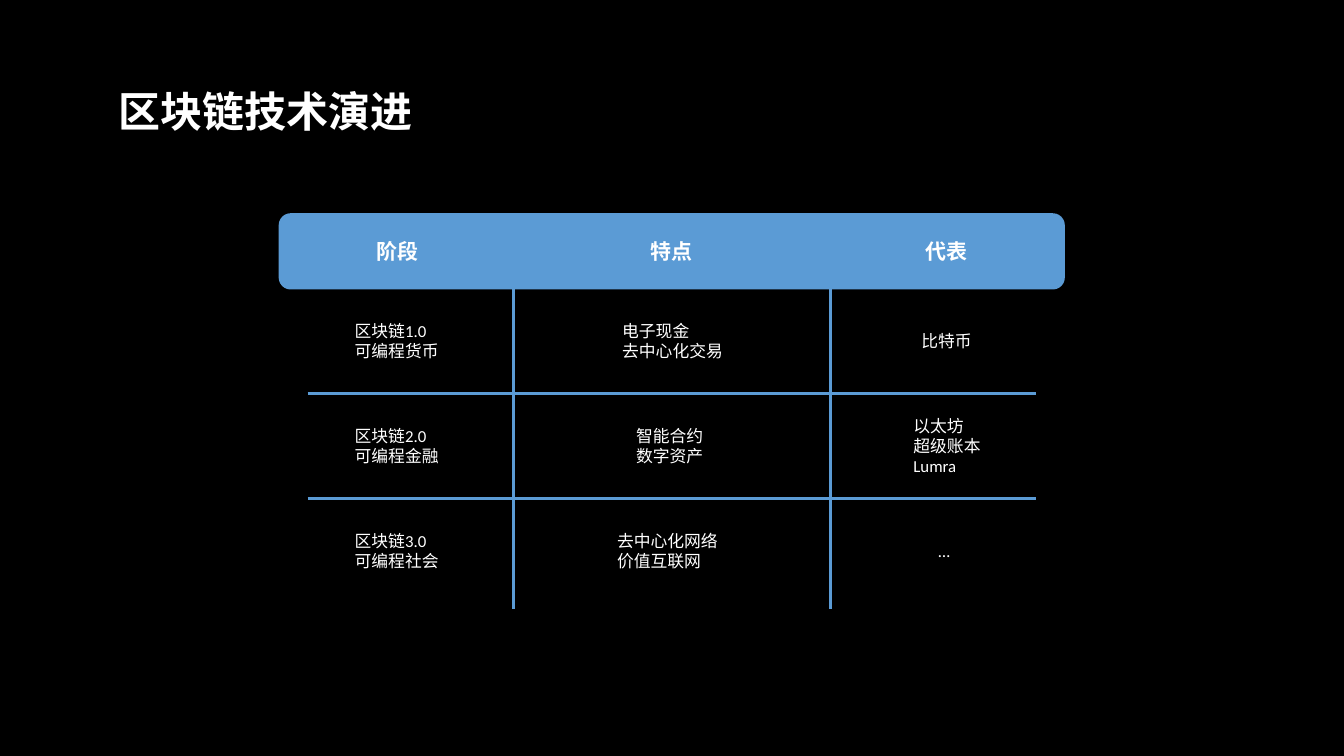
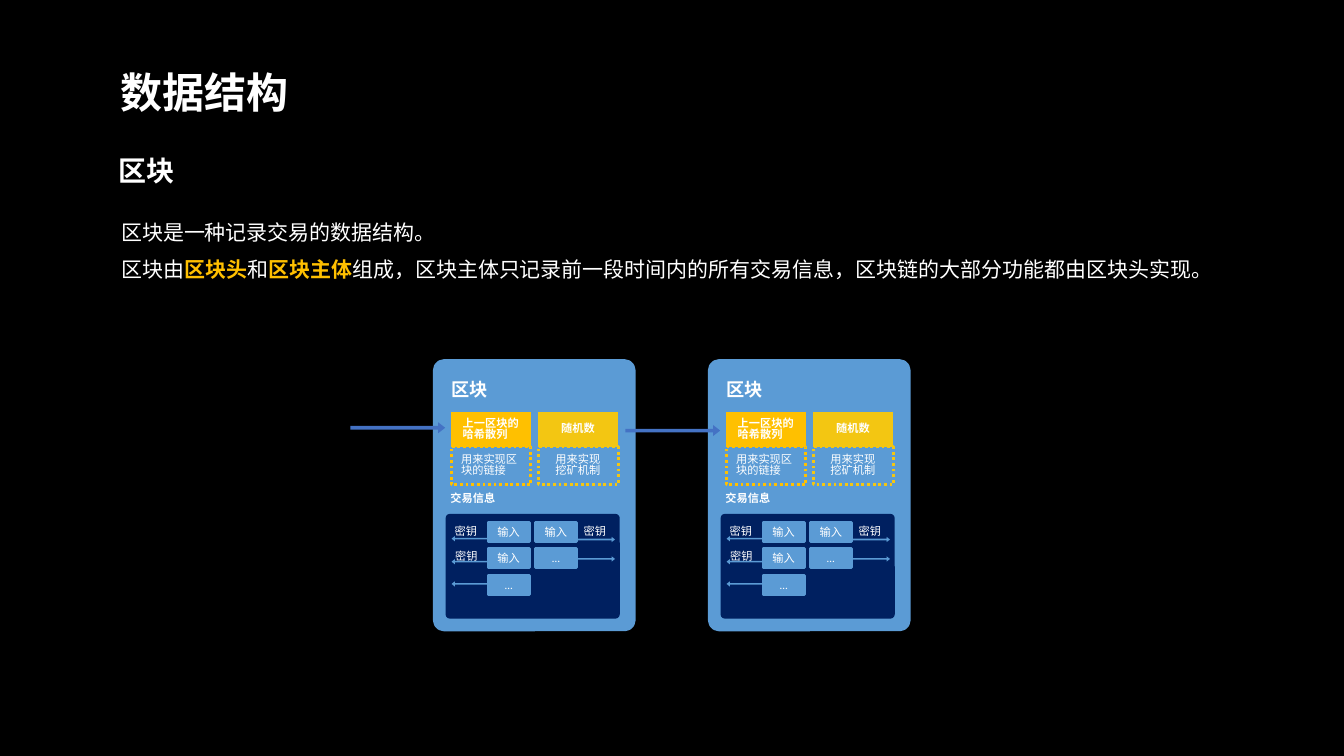
from lxml import etree
from pptx import Presentation
from pptx.dml.color import RGBColor
from pptx.enum import dml, shapes, text
from pptx.oxml.ns import qn
from pptx.util import Cm, Pt

# Shared look
WHITE, BLUE, GOLD, YELLOW = "FFFFFF", "5B9BD5", "FFC000", "F3C612"
NAVY, ARROW, BLACK = "002060", "4472C4", "000000"
LATIN, CJK = "Calibri", "Noto Sans CJK SC"
KIND = shapes.MSO_SHAPE

# Slide 1: stages of the technology
HEADS = ["阶段", "特点", "代表"]
ROWS = [  # (left edge, lines) for each cell
    [(8.86, ["区块链1.0", "可编程货币"]), (15.6, ["电子现金", "去中心化交易"]),
     (23.14, ["比特币"])],
    [(8.86, ["区块链2.0", "可编程金融"]), (15.95, ["智能合约", "数字资产"]),
     (22.94, ["以太坊", "超级账本", "Lumra"])],
    [(8.86, ["区块链3.0", "可编程社会"]), (15.47, ["去中心化网络", "价值互联网"]),
     (23.57, ["…"])],
]
RULES = [(12.95, 15.34, 12.95, 5.79), (20.93, 15.34, 20.93, 5.79),
         (7.75, 9.91, 26.11, 9.91), (7.75, 12.57, 26.11, 12.57)]

# Slide 2: the block; (text, accent) runs
INTRO = [
    [("区块是一种记录交易的数据结构。", False)],
    [("区块由", False), ("区块头", True), ("和", False), ("区块主体", True),
     ("组成，区块主体只记录前一段时间内的所有交易信息，"
      "区块链的大部分功能都由区块头实现。", False)],
]
FIELDS = [  # colour, name, name indent, use, use indent
    (GOLD, ["上一区块的", "哈希散列"], 0.33, ["用来实现区", "块的链接"], 0.25),
    (YELLOW, ["随机数"], 0.61, ["用来实现", "挖矿机制"], 0.43),
]
CHIPS = [["输入", "输入"], ["输入", "…"], ["…"]]
KEYS = [(0.41, 3.99), (0.42, 4.62), (3.66, 4.01)]
OUT = [(KIND.LEFT_ARROW, 0.38, [4.37, 4.95, 5.51]),
       (KIND.RIGHT_ARROW, 3.38, [4.39, 4.88])]
CARDS = [(11, 1.5), (17.93, 1.57)]  # card left, height of its incoming arrow
TOP = 9.14


def rgb(code):
    return RGBColor.from_string(code)


def style(para, size, bold=False, font=LATIN, gap=1.0, align=text.PP_ALIGN.LEFT):
    para.alignment, para.line_spacing = align, gap
    para.space_before = Pt(0)
    face = para.font
    face.size, face.bold, face.name = Pt(size), bold, font
    face.color.rgb = rgb(WHITE)
    base = para._p.pPr.find(qn("a:defRPr"))
    etree.SubElement(base, qn("a:ea")).set("typeface", CJK)


def setup(frame, pad=0.08, wrap=False, grow=True):
    frame.margin_left = frame.margin_right = Cm(pad)
    frame.margin_top = frame.margin_bottom = Cm(pad)
    frame.word_wrap = wrap
    frame.vertical_anchor = text.MSO_ANCHOR.MIDDLE
    frame.auto_size = (text.MSO_AUTO_SIZE.SHAPE_TO_FIT_TEXT if grow
                       else text.MSO_AUTO_SIZE.NONE)


def write(frame, lines, size, **look):
    for i, line in enumerate(lines):
        para = frame.add_paragraph() if i else frame.paragraphs[0]
        para.text = line
        style(para, size, **look)


def place(item, box):
    item.left, item.top, item.width, item.height = map(Cm, box)


def label(slide, box, lines, size, pad=0.08, wrap=False, **look):
    frame = slide.shapes.add_textbox(*map(Cm, box)).text_frame
    setup(frame, pad, wrap)
    write(frame, lines, size, **look)


def shape(slide, kind, box, fill=None, edge=None, width=2, adj=()):
    item = slide.shapes.add_shape(kind, *map(Cm, box))
    item.shadow.inherit = False
    for i, value in enumerate(adj):
        item.adjustments[i] = value
    if fill:
        item.fill.solid()
        item.fill.fore_color.rgb = rgb(fill)
    else:
        item.fill.background()
    if edge:
        item.line.color.rgb = rgb(edge)
        item.line.width = Pt(width)
    else:
        item.line.fill.background()
    return item


def inside(item, lines, indent=0.05, **look):
    setup(item.text_frame, 0.05, wrap=True, grow=False)
    item.text_frame.margin_left = Cm(indent)
    item.text_frame.margin_right = 0
    write(item.text_frame, lines, 8, **look)


def arrow(slide, kind, box, color):
    shape(slide, kind, box, color, adj=(0.32, 0.64))


def rule(slide, ends):
    line = slide.shapes.add_connector(shapes.MSO_CONNECTOR.STRAIGHT, *map(Cm, ends))
    line.line.color.rgb = rgb(BLUE)
    line.line.width = Pt(2)
    etree.SubElement(line._element.spPr, qn("a:effectLst"))


def page(prs, layout, title, box):
    slide = prs.slides.add_slide(prs.slide_layouts[layout])
    head = slide.shapes.title
    place(head, box)
    setup(head.text_frame)
    write(head.text_frame, [title], 30, bold=True, gap=0.9)
    return slide


def stages(prs):
    slide = page(prs, 5, "区块链技术演进", (2.9, 2.21, 7.62, 1.3))
    shape(slide, KIND.ROUNDED_RECTANGLE, (7.06, 5.41, 19.74, 1.85), BLUE, BLUE,
          adj=[0.143])
    for i, head in enumerate(HEADS):
        label(slide, (9.4 + 6.92 * i, 5.94, 1.25, 0.79), [head], 15,
              bold=True, font=CJK)
    for ends in RULES:
        rule(slide, ends)
    for i, row in enumerate(ROWS):
        for left, lines in row:
            # Ideographs take a full em, other signs half
            ems = max(sum(1 if c >= "一" else 0.5 for c in s) for s in lines)
            high = 0.15 + 0.51 * len(lines)
            mid = 8.59 + 2.65 * i
            label(slide, (left, mid - high / 2, 0.25 + 0.43 * ems, high), lines, 12)


def intro(slide):
    body = slide.placeholders[1]
    place(body, (2.97, 5.13, 27.94, 2.06))
    frame = body.text_frame
    setup(frame)
    for i, runs in enumerate(INTRO):
        para = frame.add_paragraph() if i else frame.paragraphs[0]
        props = para._p.get_or_add_pPr()
        props.set("marL", "0")
        props.set("indent", "0")
        etree.SubElement(props, qn("a:buNone"))
        style(para, 15, font=CJK, gap=1.5)
        for words, accent in runs:
            run = para.add_run()
            run.text = words
            if accent:
                run.font.bold = True
                run.font.color.rgb = rgb(GOLD)


def card(slide, left):
    def at(x, y, w, h):
        return left + x, TOP + y, w, h

    shape(slide, KIND.ROUNDED_RECTANGLE, at(0, 0, 4.93, 6.68), BLUE, BLUE, 5, [0.038])
    label(slide, at(0.3, 0.33, 1.2, 0.69), ["区块"], 13, bold=True)

    # Block header fields
    for i, (color, name, dent, use, push) in enumerate(FIELDS):
        x = 2.2 * i
        box = shape(slide, KIND.RECTANGLE, at(0.33 + x, 1.2, 2.08, 0.97), color, BLUE)
        inside(box, name, dent, bold=True, gap=0.8)
        box = shape(slide, KIND.RECTANGLE, at(0.37 + x, 2.11, 2.01, 0.97), edge=color)
        box.line.dash_style = dml.MSO_LINE.ROUND_DOT
        inside(box, use, push, gap=0.8)

    # Transactions
    label(slide, at(0.3, 3.18, 1.65, 0.48), ["交易信息"], 8, 0.05, True, bold=True)
    shape(slide, KIND.ROUNDED_RECTANGLE, at(0.23, 3.81, 4.39, 2.64), NAVY, adj=[0.041])
    for x, y in KEYS:
        label(slide, at(x, y, 0.76, 0.48), ["密钥"], 8, 0.05, True)
    for i, row in enumerate(CHIPS):
        for j, word in enumerate(row):
            chip = shape(slide, KIND.RECTANGLE,
                         at(1.3 + 1.19 * j, 4.02 + 0.67 * i, 1.04, 0.48), BLUE, BLUE)
            inside(chip, [word], 0, align=text.PP_ALIGN.CENTER)
    for kind, x, rows in OUT:
        for y in rows:
            arrow(slide, kind, at(x, y, 1.12, 0.13), BLUE)


def block(prs):
    slide = page(prs, 1, "数据结构", (2.95, 1.75, 4.42, 1.3))
    intro(slide)
    label(slide, (2.9, 3.89, 1.9, 0.91), ["区块"], 20, wrap=True, bold=True, gap=0.9)
    for left, _ in CARDS:
        card(slide, left)
    for left, drop in CARDS:
        arrow(slide, KIND.RIGHT_ARROW, (left - 2.17, TOP + drop, 2.39, 0.28), ARROW)


def main():
    prs = Presentation()
    prs.slide_width, prs.slide_height = Cm(33.87), Cm(19.05)
    back = prs.slide_master.background.fill
    back.solid()
    back.fore_color.rgb = rgb(BLACK)
    stages(prs)
    block(prs)
    prs.save("out.pptx")


if __name__ == "__main__":
    main()
